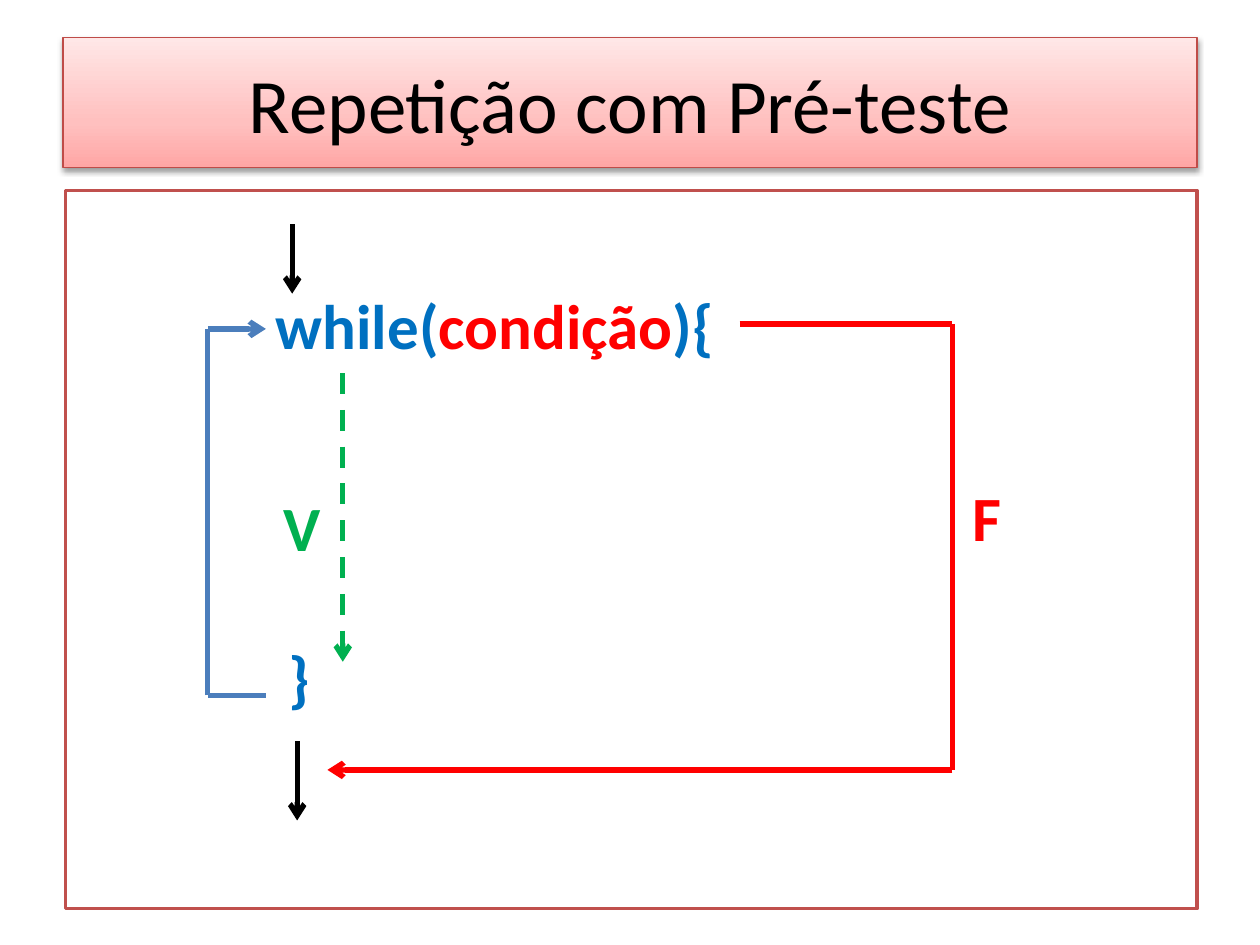
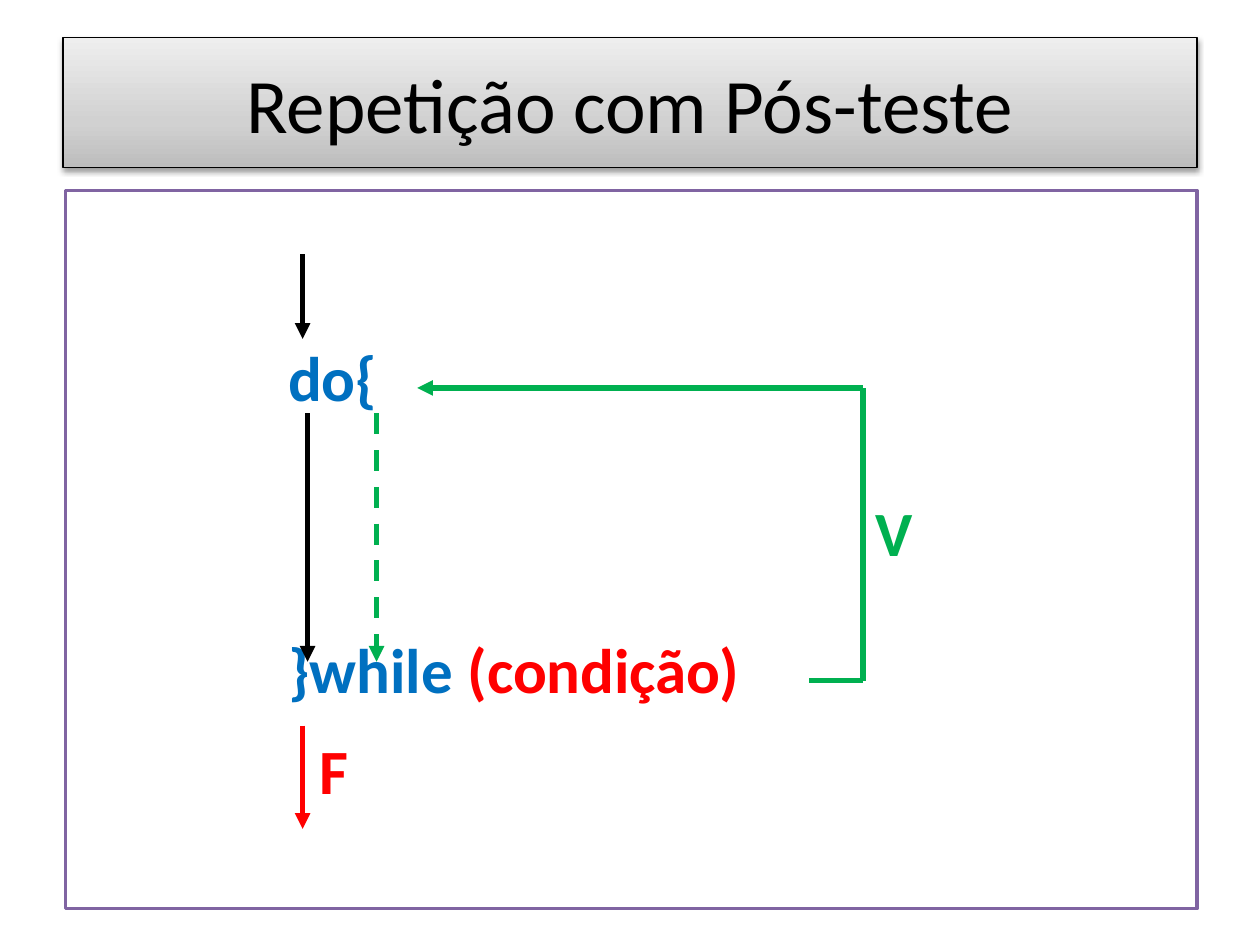
from copy import deepcopy

from pptx import Presentation
from pptx import util as u
from pptx.dml.color import RGBColor
from pptx.enum import dml, shapes, text
from pptx.oxml.ns import qn
from lxml import etree

FONT = "Calibri"
BLACK, RED, GREEN = "000000", "FF0000", "00B050"
CODE_BLUE, LOOP_BLUE = "0070C0", "4B7EBC"


def color(hex_string):
    return RGBColor.from_string(hex_string)


def draw_route(slide, points, line_color, arrowhead, dashed=False):
    """Join the points with straight lines; the last one carries the arrowhead."""
    segments = list(zip(points, points[1:]))
    canvas = slide.shapes if len(segments) == 1 else slide.shapes.add_group_shape().shapes
    for start, end in segments:
        connector = canvas.add_connector(
            shapes.MSO_CONNECTOR.STRAIGHT, *[u.Cm(value) for value in start + end])
        connector.line.color.rgb = color(line_color)
        connector.line.width = u.Pt(3)
        if dashed:
            connector.line.dash_style = dml.MSO_LINE.DASH
        properties = connector._element.spPr
        if end == points[-1]:
            etree.SubElement(properties.find(qn("a:ln")), qn("a:tailEnd"), type=arrowhead)
        etree.SubElement(properties, qn("a:effectLst"))


# Code lines: indent in cm, then runs of text and colour
# Routes: points in cm, colour, dashed
# Labels: letter, left, top, width, colour
loops = [
    {
        "title": "Repetição com Pré-teste",
        "gradient": ["FFA6A5", "FFC0BF", "FFE7E7"],
        "title_line": "BF4C48",
        "frame_line": "C0504D",
        "code_top": 1.94,
        "code_gap": 158,
        "code": [
            (3.99, [("while(", CODE_BLUE), ("condição", RED), ("){", CODE_BLUE)]),
            (4.24, [("}", CODE_BLUE)]),
        ],
        "arrowhead": "arrow",
        "routes": [
            ([(5.89, 4.52), (5.89, 5.92)], BLACK, False),
            ([(14.91, 6.53), (19.2, 6.53), (19.2, 15.52), (6.6, 15.52)], RED, False),
            ([(5.99, 14.94), (5.99, 16.54)], BLACK, False),
            ([(6.91, 7.52), (6.91, 13.34)], GREEN, True),
            ([(5.36, 14.02), (4.19, 14.02), (4.19, 6.63), (5.36, 6.63)], LOOP_BLUE, False),
        ],
        "labels": [("F", 19.35, 9.53, 1.09, RED), ("V", 5.46, 9.73, 1.27, GREEN)],
    },
    {
        "title": "Repetição com Pós-teste",
        "gradient": ["BDBDBD", "D1D1D1", "EEEEEE"],
        "title_line": BLACK,
        "frame_line": "8064A2",
        "code_top": 2.98,
        "code_gap": 124,
        "code": [
            (4.24, [("do{", CODE_BLUE)]),
            (4.24, [("}while ", CODE_BLUE), ("(condição)", RED)]),
        ],
        "arrowhead": "triangle",
        "routes": [
            ([(6.1, 14.63), (6.1, 16.71)], RED, False),
            ([(6.2, 8.33), (6.2, 13.34)], BLACK, False),
            ([(16.31, 13.72), (17.4, 13.72), (17.4, 7.82), (8.41, 7.82)], GREEN, False),
            ([(7.59, 8.33), (7.59, 13.34)], GREEN, True),
            ([(6.1, 5.13), (6.1, 6.83)], BLACK, False),
        ],
        "labels": [("F", 6.2, 14.63, 1.09, RED), ("V", 17.4, 9.83, 1.27, GREEN)],
    },
]

presentation = Presentation()
presentation.slide_width, presentation.slide_height = u.Cm(25.4), u.Cm(19.05)

for loop in loops:
    slide = presentation.slides.add_slide(presentation.slide_layouts[6])

    # Title band with gradient and shadow
    band = slide.shapes.add_shape(
        shapes.MSO_SHAPE.RECTANGLE, u.Cm(1.27), u.Cm(0.76), u.Cm(22.86), u.Cm(2.62))
    band.fill.gradient()
    band.fill.gradient_angle = 90
    properties = band._element.spPr
    stop_list = properties.find(qn("a:gradFill")).find(qn("a:gsLst"))
    stop_list.append(deepcopy(stop_list[0]))
    for stop, position, stop_color in zip(
            band.fill.gradient_stops, (0, 0.35, 1), loop["gradient"]):
        stop.position = position
        stop.color.rgb = color(stop_color)
    band.line.color.rgb = color(loop["title_line"])
    band.line.width = u.Pt(0.75)
    band.shadow.inherit = False
    shadow = etree.SubElement(
        properties.find(qn("a:effectLst")), qn("a:outerShdw"),
        blurRad="40000", dist="20000", dir="5400000", rotWithShape="0")
    shadow_color = etree.SubElement(shadow, qn("a:srgbClr"), val=BLACK)
    etree.SubElement(shadow_color, qn("a:alpha"), val="38000")
    band.text_frame.vertical_anchor = text.MSO_ANCHOR.MIDDLE
    paragraph = band.text_frame.paragraphs[0]
    paragraph.text = loop["title"]
    paragraph.alignment = text.PP_ALIGN.CENTER
    paragraph.font.name = FONT
    paragraph.font.size = u.Pt(44)
    paragraph.font.color.rgb = color(BLACK)

    # Frame holding the code
    frame = slide.shapes.add_shape(
        shapes.MSO_SHAPE.RECTANGLE, u.Cm(1.32), u.Cm(3.84), u.Cm(22.81), u.Cm(14.48))
    frame.fill.solid()
    frame.fill.fore_color.rgb = color("FFFFFF")
    frame.line.color.rgb = color(loop["frame_line"])
    frame.line.width = u.Pt(2)
    frame.shadow.inherit = False
    text_frame = frame.text_frame
    text_frame.vertical_anchor = text.MSO_ANCHOR.TOP
    text_frame.margin_top = u.Cm(loop["code_top"])
    for index, (indent, runs) in enumerate(loop["code"]):
        paragraph = text_frame.add_paragraph() if index else text_frame.paragraphs[0]
        paragraph._p.get_or_add_pPr().set("marL", str(u.Cm(indent)))
        paragraph.alignment = text.PP_ALIGN.LEFT
        if index:
            paragraph.space_before = u.Pt(loop["code_gap"])
        paragraph.font.name = FONT
        paragraph.font.size = u.Pt(36)
        paragraph.font.bold = True
        for words, run_color in runs:
            run = paragraph.add_run()
            run.text = words
            run.font.color.rgb = color(run_color)

    # Flow arrows
    for points, line_color, dashed in loop["routes"]:
        draw_route(slide, points, line_color, loop["arrowhead"], dashed)

    # True and false labels
    for letter, left, top, width, label_color in loop["labels"]:
        label = slide.shapes.add_textbox(u.Cm(left), u.Cm(top), u.Cm(width), u.Cm(1.8))
        label.text_frame.word_wrap = False
        label.text_frame.auto_size = text.MSO_AUTO_SIZE.SHAPE_TO_FIT_TEXT
        paragraph = label.text_frame.paragraphs[0]
        paragraph.text = letter
        paragraph.font.name = FONT
        paragraph.font.size = u.Pt(36)
        paragraph.font.bold = True
        paragraph.font.color.rgb = color(label_color)

presentation.save("out.pptx")
